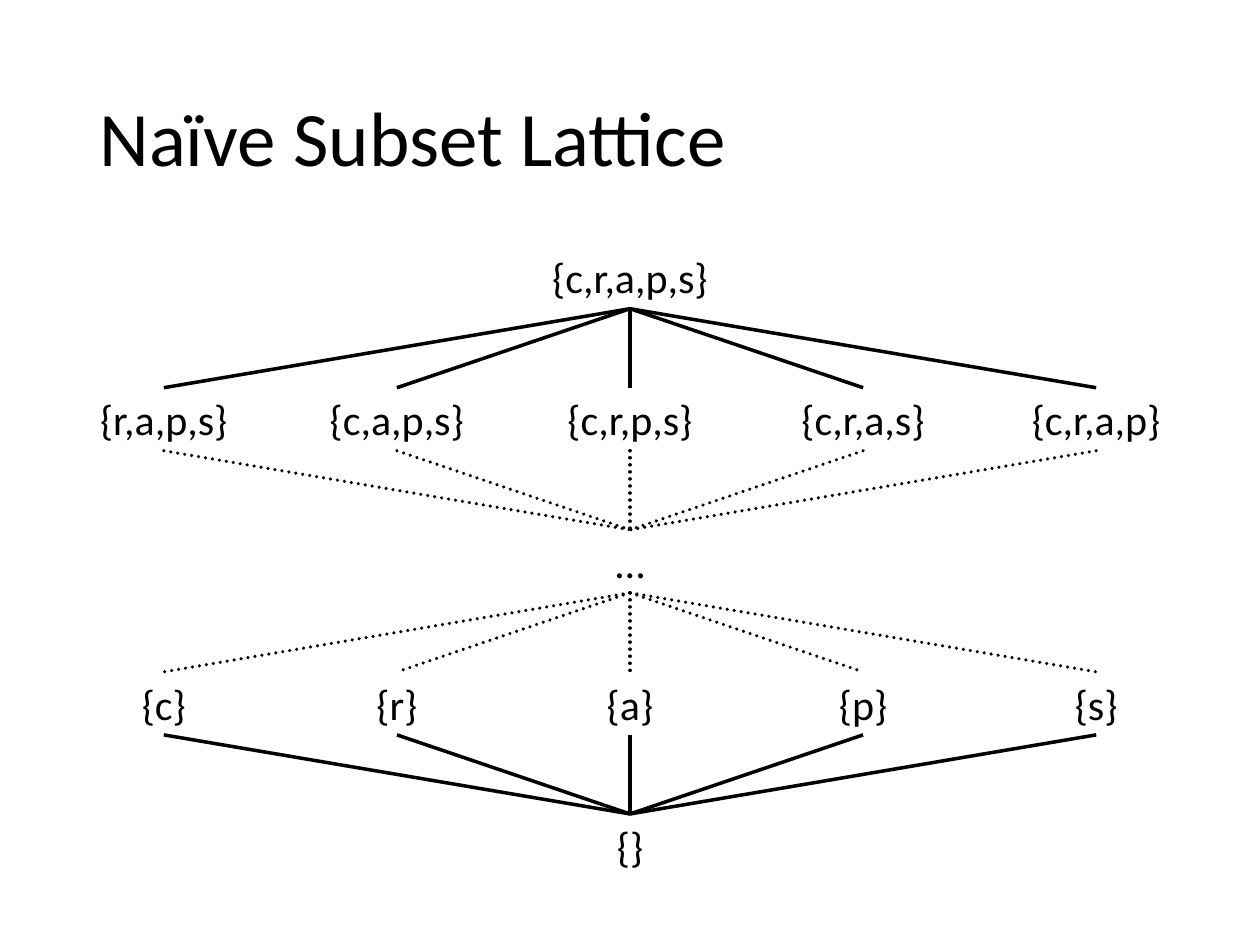
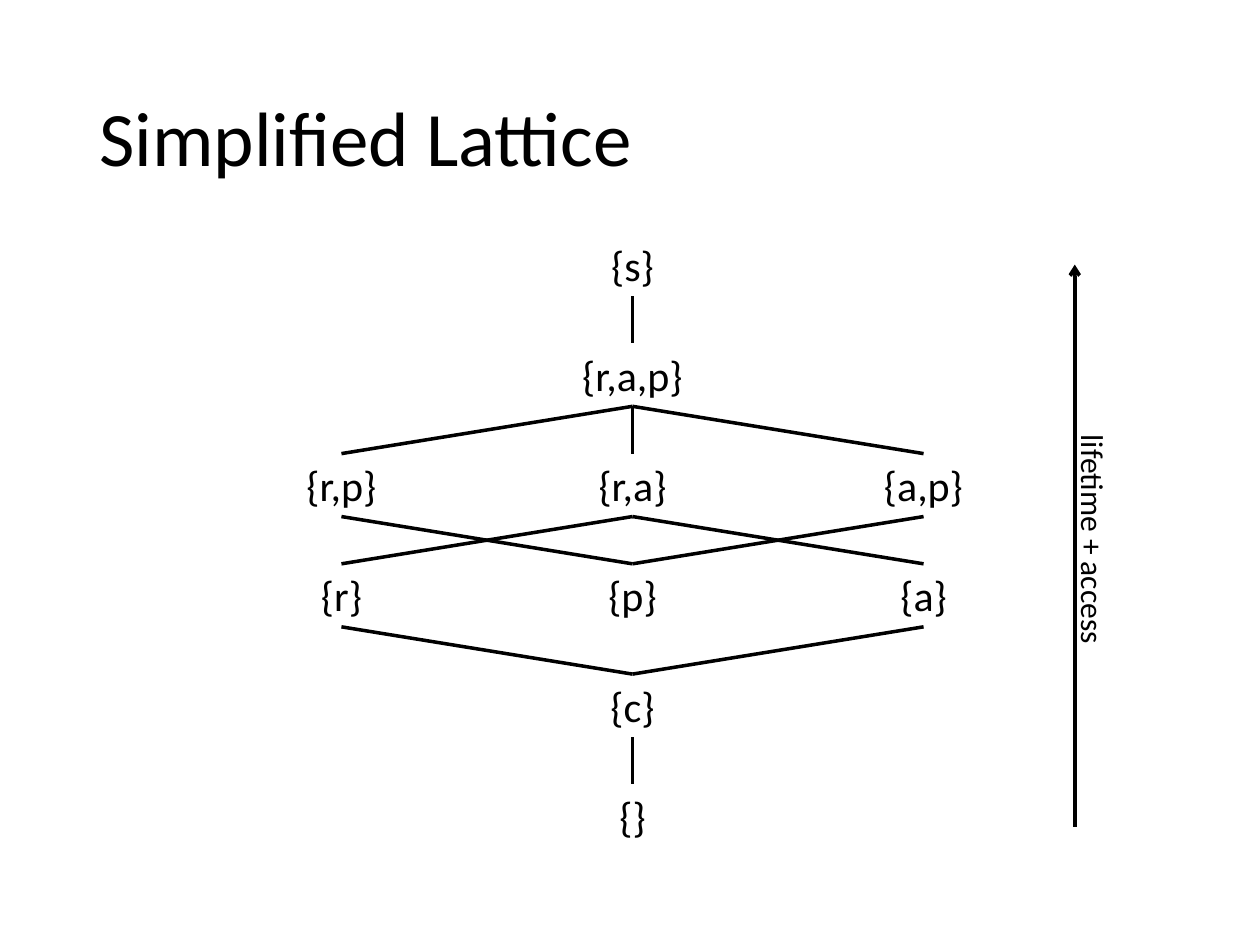
from itertools import product

from lxml.etree import SubElement
from pptx import Presentation
from pptx.dml.color import RGBColor
from pptx.enum.dml import MSO_LINE
from pptx.enum.shapes import MSO_CONNECTOR
from pptx.enum.text import MSO_ANCHOR, MSO_AUTO_SIZE, PP_ALIGN
from pptx.oxml.ns import qn
from pptx.util import Inches, Pt

WIDTH, HEIGHT = 10, 7.5
COLORS = {"background": "FFFFFF", "ink": "000000"}
FONT = "Calibri"
INSET = 0.1
NODE_HEIGHT = 0.5
NODE_SIZE = 24
# Character widths as shares of the font size, rounded up so labels stay on one line
GLYPHS = {"{": 0.33, "}": 0.33, ",": 0.25, "c": 0.43, "r": 0.35,
          "a": 0.48, "p": 0.53, "s": 0.4, "…": 0.7}
TITLE_FRAME = {"word_wrap": True, "vertical_anchor": MSO_ANCHOR.MIDDLE}
LABEL_FRAME = {"word_wrap": False, "auto_size": MSO_AUTO_SIZE.SHAPE_TO_FIT_TEXT}


def set_attributes(target, values):
    for name, value in values.items():
        setattr(target, name, value)


class LatticeDeck:
    """Holds the shared style, the current slide and its grid of nodes."""

    def __init__(self):
        self.presentation = Presentation()
        set_attributes(self.presentation, {"slide_width": Inches(WIDTH),
                                           "slide_height": Inches(HEIGHT)})

    def add_slide(self, title, origin, pitch):
        """Start a slide; origin and pitch set the first node and the grid steps."""
        self.slide = self.presentation.slides.add_slide(
            self.presentation.slide_layouts[6])
        fill = self.slide.background.fill
        fill.solid()
        fill.fore_color.rgb = RGBColor.from_string(COLORS["background"])
        self.origin, self.pitch, self.nodes = origin, pitch, {}
        self.add_text(title, (0.69, 0.4, 8.62, 1.45), 44, TITLE_FRAME,
                      {"line_spacing": 0.9})

    def add_text(self, text, box, size, frame_format, paragraph_format):
        shape = self.slide.shapes.add_textbox(*map(Inches, box))
        frame = shape.text_frame
        set_attributes(frame, frame_format)
        paragraph = frame.paragraphs[0]
        paragraph.text = text
        set_attributes(paragraph, paragraph_format)
        font = paragraph.runs[0].font
        set_attributes(font, {"name": FONT, "size": Pt(size)})
        font.color.rgb = RGBColor.from_string(COLORS["ink"])
        return shape

    def add_label(self, text, box, size):
        return self.add_text(text, box, size, LABEL_FRAME,
                             {"alignment": PP_ALIGN.CENTER})

    def add_node(self, text, column, row):
        center, top = (start + step * index for start, step, index
                       in zip(self.origin, self.pitch, (column, row)))
        width = sum(GLYPHS[letter] for letter in text) * NODE_SIZE / 72 + 2 * INSET
        self.nodes[text] = center, top
        self.add_label(text, (center - width / 2, top, width, NODE_HEIGHT), NODE_SIZE)

    def add_rows(self, rows):
        for row, nodes in enumerate(rows):
            for column, text in nodes.items():
                self.add_node(text, column, row)

    def add_line(self, start, end, dash=None, head=None):
        connector = self.slide.shapes.add_connector(
            MSO_CONNECTOR.STRAIGHT, *map(Inches, (*start, *end)))
        line = connector.line
        line.color.rgb = RGBColor.from_string(COLORS["ink"])
        set_attributes(line, {"width": Pt(2), "dash_style": dash})
        properties = connector._element.spPr
        outline = properties.find(qn("a:ln"))
        if dash:
            outline.set("cap", "rnd")
        if head:
            SubElement(outline, qn("a:tailEnd"), type=head)
        SubElement(properties, qn("a:effectLst"))

    def connect(self, upper, lower, dash=None):
        """Join the bottom of one node to the top of a node below it."""
        center, top = self.nodes[upper]
        self.add_line((center, top + NODE_HEIGHT), self.nodes[lower], dash)


def build_naive(deck):
    deck.add_slide("Naïve Subset Lattice", (1.3, 1.95), (1.85, 4.51 / 4))
    rows = [
        {2: "{c,r,a,p,s}"},
        dict(enumerate(["{r,a,p,s}", "{c,a,p,s}", "{c,r,p,s}", "{c,r,a,s}", "{c,r,a,p}"])),
        {2: "…"},
        dict(enumerate(["{c}", "{r}", "{a}", "{p}", "{s}"])),
        {2: "{}"},
    ]
    deck.add_rows(rows)
    for upper_row, lower_row in zip(rows, rows[1:]):
        for upper, lower in product(upper_row.values(), lower_row.values()):
            dash = MSO_LINE.ROUND_DOT if "…" in (upper, lower) else None
            deck.connect(upper, lower, dash)


def build_simplified(deck):
    deck.add_slide("Simplified Lattice", (2.71, 1.85), (2.31, 7 / 8))
    deck.add_rows([
        {1: "{s}"},
        {1: "{r,a,p}"},
        {0: "{r,p}", 1: "{r,a}", 2: "{a,p}"},
        {0: "{r}", 1: "{p}", 2: "{a}"},
        {1: "{c}"},
        {1: "{}"},
    ])
    children = {
        "{s}": ["{r,a,p}"],
        "{r,a,p}": ["{r,p}", "{r,a}", "{a,p}"],
        "{r,p}": ["{p}"],
        "{r,a}": ["{r}", "{a}"],
        "{a,p}": ["{p}"],
        "{r}": ["{c}"],
        "{a}": ["{c}"],
        "{c}": ["{}"],
    }
    for upper, lowers in children.items():
        for lower in lowers:
            deck.connect(upper, lower)
    deck.add_line((8.53, 6.56), (8.53, 2.1), head="arrow")
    axis_label = deck.add_label("lifetime + access", (7.74, 4.08, 1.88, 0.4), 18)
    axis_label.rotation = 90


def main():
    deck = LatticeDeck()
    build_naive(deck)
    build_simplified(deck)
    deck.presentation.save("out.pptx")


if __name__ == "__main__":
    main()
